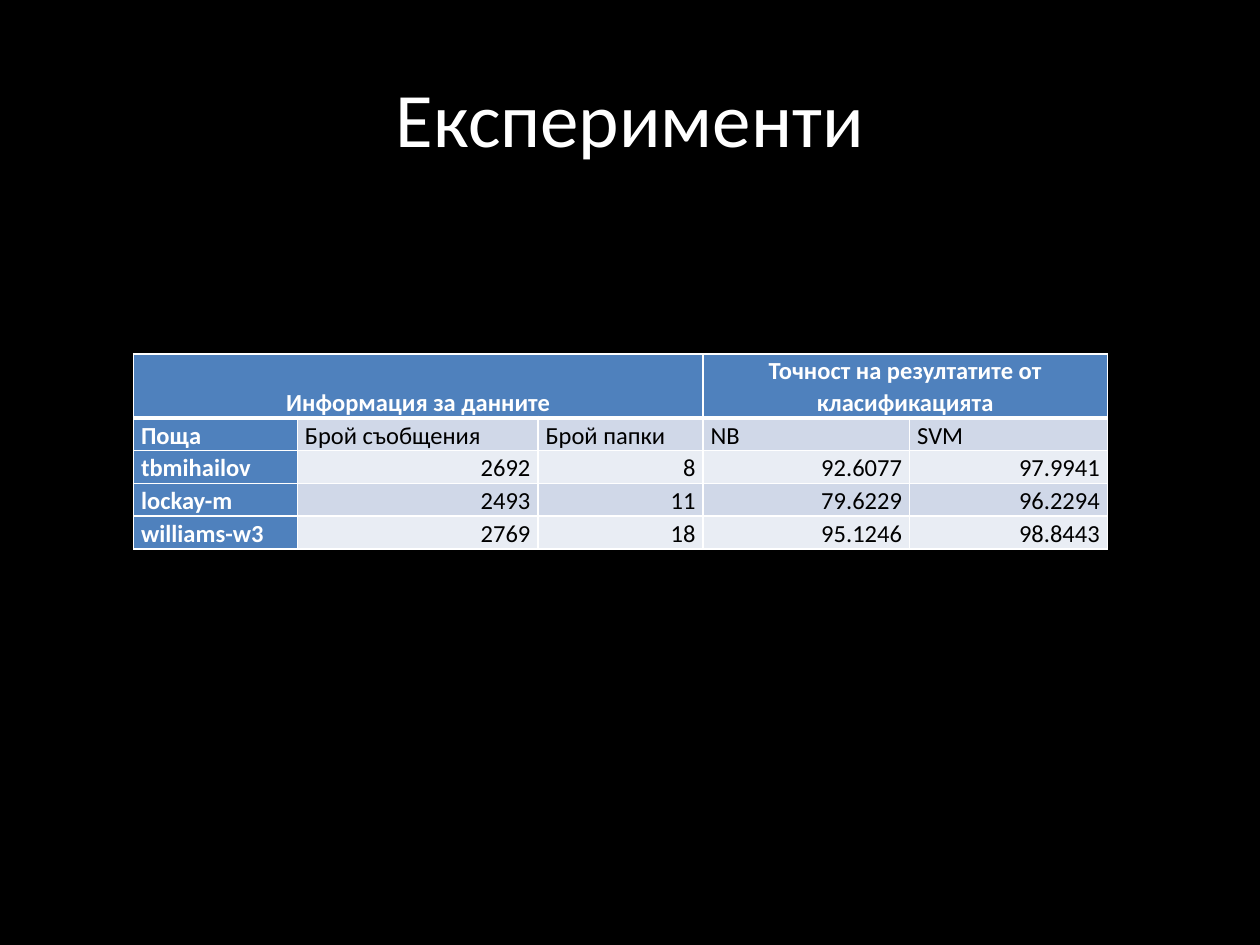
from lxml.etree import SubElement
from pptx import Presentation
from pptx.dml.color import RGBColor
from pptx.enum.text import MSO_ANCHOR as Anchor, PP_ALIGN as Align
from pptx.oxml.ns import qn
from pptx.util import Inches, Pt

TITLE = "Експерименти"
ROWS = [
    ["Информация за данните", "", "", "Точност на резултатите от класификацията", ""],
    ["Поща", "Брой съобщения", "Брой папки", "NB", "SVM"],
    ["tbmihailov", "2692", "8", "92.6077", "97.9941"],
    ["lockay-m", "2493", "11", "79.6229", "96.2294"],
    ["williams-w3", "2769", "18", "95.1246", "98.8443"],
]
HEADER_SPANS = [(0, 2), (3, 4)]
COLUMN_WIDTHS = [1.3, 1.91, 1.31, 1.64, 1.57]
ROW_HEIGHTS = [0.47] + [0.26] * 4
BLACK, WHITE, BLUE = "000000", "FFFFFF", "4F81BD"
BANDS = ["E9EDF4", "D0D8E8"]


def paint(fill, color):
    fill.solid()
    fill.fore_color.rgb = RGBColor.from_string(color)


def style_text(para, size, color, align, bold=False):
    para.alignment = align
    para.font.name = "Calibri"
    para.font.size = Pt(size)
    para.font.bold = bold
    para.font.color.rgb = RGBColor.from_string(color)


def add_borders(cell, row):
    widths = {"L": 1, "R": 1, "T": 3 if row == 1 else 1, "B": 3 if row == 0 else 1}
    properties = cell._tc.get_or_add_tcPr()
    for side, width in widths.items():
        line = SubElement(properties, qn(f"a:ln{side}"), w=str(Pt(width)))
        SubElement(SubElement(line, qn("a:solidFill")), qn("a:srgbClr"), val=WHITE)


def style_cell(cell, text, row, column):
    heading = row == 0 or column == 0
    add_borders(cell, row)
    paint(cell.fill, BLUE if heading else BANDS[row % 2])
    cell.vertical_anchor = Anchor.BOTTOM
    cell.margin_left = cell.margin_right = Inches(0.06)
    cell.margin_top = cell.margin_bottom = 0
    cell.text = text
    para = cell.text_frame.paragraphs[0]
    para.line_spacing = 1.07
    if row == 0:
        align = Align.CENTER
    else:
        align = Align.RIGHT if row > 1 and column > 0 else Align.LEFT
    style_text(para, 14, WHITE if heading else BLACK, align, heading)


def add_results(page):
    frame = page.shapes.add_table(
        len(ROWS), len(COLUMN_WIDTHS), Inches(1.06), Inches(2.81),
        Inches(sum(COLUMN_WIDTHS)), Inches(sum(ROW_HEIGHTS)))
    table = frame.table
    for column, width in zip(table.columns, COLUMN_WIDTHS):
        column.width = Inches(width)
    for row, height in zip(table.rows, ROW_HEIGHTS):
        row.height = Inches(height)
    for row, texts in enumerate(ROWS):
        for column, text in enumerate(texts):
            style_cell(table.cell(row, column), text, row, column)
    for first, last in HEADER_SPANS:
        table.cell(0, first).merge(table.cell(0, last))


def main():
    """Build the slide with the table of experiment results."""
    deck = Presentation()
    deck.slide_width, deck.slide_height = Inches(10), Inches(7.5)
    page = deck.slides.add_slide(deck.slide_layouts[5])
    paint(page.background.fill, BLACK)
    title = page.shapes.title
    title.left, title.top = Inches(0.5), Inches(0.3)
    title.width, title.height = Inches(9), Inches(1.25)
    title.text_frame.text = TITLE
    title.text_frame.vertical_anchor = Anchor.MIDDLE
    style_text(title.text_frame.paragraphs[0], 44, WHITE, Align.CENTER)
    add_results(page)
    deck.save("out.pptx")


if __name__ == "__main__":
    main()
